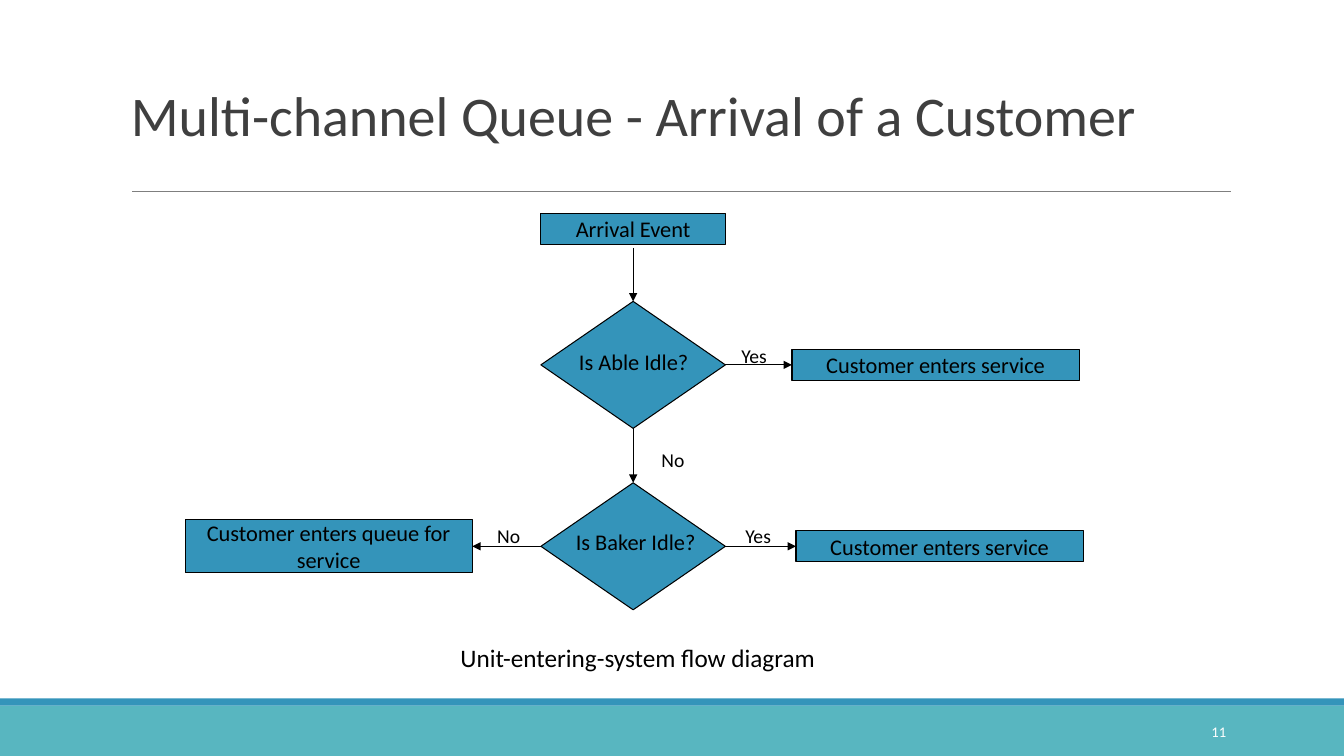
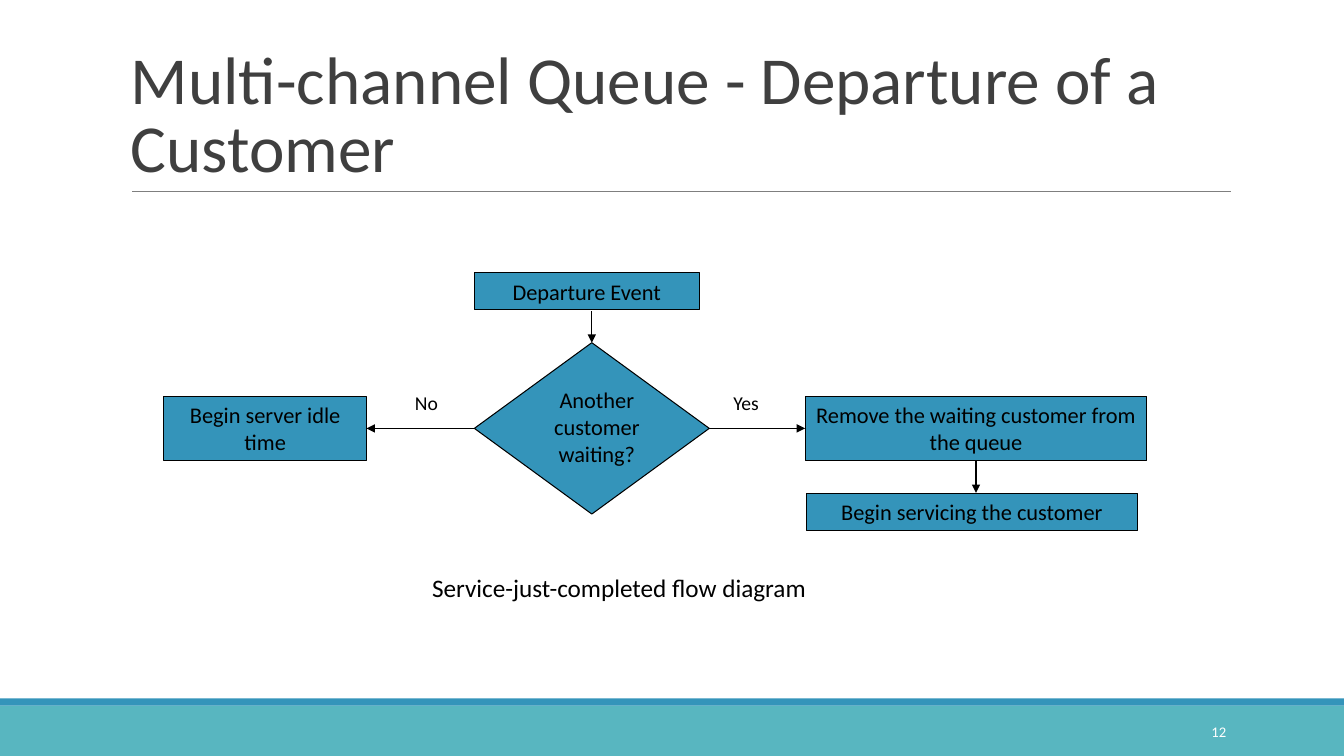
from lxml import etree
from pptx import Presentation
from pptx.dml.color import RGBColor
from pptx.enum.shapes import MSO_CONNECTOR, MSO_SHAPE
from pptx.enum.text import MSO_ANCHOR, PP_ALIGN
from pptx.oxml.ns import qn
from pptx.util import Inches, Pt

RECTANGLE = MSO_SHAPE.RECTANGLE
DECISION = MSO_SHAPE.FLOWCHART_DECISION
STRAIGHT = MSO_CONNECTOR.STRAIGHT
TOP_ANCHOR, MIDDLE, BOTTOM_ANCHOR = MSO_ANCHOR.TOP, MSO_ANCHOR.MIDDLE, MSO_ANCHOR.BOTTOM
ALIGN_LEFT, ALIGN_CENTER, ALIGN_RIGHT = PP_ALIGN.LEFT, PP_ALIGN.CENTER, PP_ALIGN.RIGHT

TOP, LEFT, BOTTOM, RIGHT = range(4)  # connection sites

FONT = "Calibri"
COLORS = {
    "band": "58B6C0",
    "accent": "3494BA",
    "rule": "7F7F7F",
    "title": "3F3F3F",
    "ink": "000000",
    "page": "FFFFFF",
}
SLIDE_W, SLIDE_H = 13.33, 7.5
LINE_WIDTH = Pt(0.75)


def color(name):
    return RGBColor.from_string(COLORS[name])


def write(shape, text, size, ink="ink", align=ALIGN_CENTER, anchor=MIDDLE):
    """Put one paragraph in a shape and return the paragraph."""
    frame = shape.text_frame
    frame.word_wrap = True
    frame.vertical_anchor = anchor
    paragraph = frame.paragraphs[0]
    paragraph.text = text
    paragraph.alignment = align
    paragraph.font.name = FONT
    paragraph.font.size = Pt(size)
    paragraph.font.color.rgb = color(ink)
    return paragraph


def add_text(slide, text, box, size, **style):
    """Add text in a (left, top, width, height) box."""
    return write(slide.shapes.add_textbox(*map(Inches, box)), text, size, **style)


def add_filled(slide, kind, box, fill, outline=None):
    shape = slide.shapes.add_shape(kind, *map(Inches, box))
    shape.shadow.inherit = False
    shape.fill.solid()
    shape.fill.fore_color.rgb = color(fill)
    if outline:
        shape.line.color.rgb = color(outline)
        shape.line.width = LINE_WIDTH
    else:
        shape.line.fill.background()
    return shape


def add_line(slide, start, end, ink):
    line = slide.shapes.add_connector(STRAIGHT, *map(Inches, (*start, *end)))
    line.line.color.rgb = color(ink)
    line.line.width = LINE_WIDTH
    etree.SubElement(line._element.spPr, qn("a:effectLst"))
    return line


def add_arrow(slide, start, end):
    """Draw an arrow; each end is a (shape, site) pair or an (x, y) point."""
    joined_start, joined_end = (hasattr(e[0], "shape_id") for e in (start, end))
    arrow = add_line(slide, (0, 0) if joined_start else start,
                     (0, 0) if joined_end else end, "ink")
    if joined_start:
        arrow.begin_connect(*start)
    if joined_end:
        arrow.end_connect(*end)
    etree.SubElement(arrow.line._get_or_add_ln(), qn("a:tailEnd"), type="triangle")


def centered(center, size):
    (x, y), (width, height) = center, size
    return x - width / 2, y - height / 2, width, height


def add_step(slide, text, center, size):
    step = add_filled(slide, RECTANGLE, centered(center, size), "accent", "ink")
    write(step, text, 16)
    return step


def add_decision(slide, question, center, size, question_box):
    diamond = add_filled(slide, DECISION, centered(center, size), "accent", "ink")
    add_text(slide, question, question_box, 16)
    return diamond


def add_answer(slide, text, box):
    add_text(slide, text, box, 14, anchor=TOP_ANCHOR)


def add_caption(slide, text, box):
    add_text(slide, text, box, 18, anchor=TOP_ANCHOR)


def add_base_slide(deck, title, title_size, title_height, number):
    """Add a slide with the shared bands, title, rule and page number."""
    slide = deck.slides.add_slide(deck.slide_layouts[6])
    add_filled(slide, RECTANGLE, (0, 7, SLIDE_W, 0.5), "band")
    add_filled(slide, RECTANGLE, (0, 6.93, SLIDE_W, 0.07), "accent")
    add_line(slide, (1.31, 1.9), (12.21, 1.9), "rule")
    heading = add_text(slide, title, (1.2, 0.31, 11, title_height), title_size,
                       ink="title", align=ALIGN_LEFT, anchor=BOTTOM_ANCHOR)
    heading.line_spacing = 0.85
    add_text(slide, str(number), (10.83, 7.06, 1.43, 0.4), 10.5,
             ink="page", align=ALIGN_RIGHT)
    return slide


def build_arrival(deck):
    slide = add_base_slide(deck, "Multi-channel Queue - Arrival of a Customer",
                           40, 1.21, 11)
    axis, able_row, baker_row = 6.28, 3.62, 5.42
    diamond_size, service_size = (1.83, 1.26), (2.85, 0.31)

    add_step(slide, "Arrival Event", (axis, 2.27), (1.83, 0.31))
    able = add_decision(slide, "Is Able Idle?", (axis, able_row), diamond_size,
                        (5.43, 3.43, 1.71, 0.31))
    baker = add_decision(slide, "Is Baker Idle?", (axis, baker_row), diamond_size,
                         (5.45, 5.22, 1.71, 0.31))
    able_service, baker_service = (
        add_step(slide, "Customer enters service", center, service_size)
        for center in ((9.28, able_row), (9.32, baker_row)))
    queue = add_step(slide, "Customer enters queue for service",
                     (3.26, baker_row), (2.85, 0.53))

    add_arrow(slide, (axis, 2.46), (able, TOP))
    add_arrow(slide, (able, RIGHT), (able_service, LEFT))
    add_arrow(slide, (able, BOTTOM), (baker, TOP))
    add_arrow(slide, (baker, RIGHT), (baker_service, LEFT))
    add_arrow(slide, (baker, LEFT), (queue, RIGHT))

    add_answer(slide, "Yes", (7.2, 3.36, 0.56, 0.28))
    add_answer(slide, "No", (6.39, 4.39, 0.57, 0.28))
    add_answer(slide, "Yes", (7.24, 5.15, 0.56, 0.28))
    add_answer(slide, "No", (4.76, 5.15, 0.57, 0.28))
    add_caption(slide, "Unit-entering-system flow diagram", (3.7, 6.32, 5.25, 0.33))


def build_departure(deck):
    slide = add_base_slide(deck, "Multi-channel Queue - Departure of a Customer",
                           48, 1.59, 12)
    axis, row, service_axis = 5.87, 4.25, 9.68

    add_step(slide, "Departure Event", (5.82, 2.89), (2.23, 0.37))
    waiting = add_decision(slide, "Another customer waiting?", (axis, row),
                           (2.33, 1.7), (5.22, 3.91, 1.4, 0.64))
    idle = add_step(slide, "Begin server idle time", (2.63, row), (2.01, 0.64))
    removal = add_step(slide, "Remove the waiting customer from the queue",
                       (service_axis, row), (3.39, 0.64))
    add_step(slide, "Begin servicing the customer", (9.64, 5.08), (3.29, 0.37))

    add_arrow(slide, (axis, 3.09), (waiting, TOP))
    add_arrow(slide, (waiting, LEFT), (idle, RIGHT))
    add_arrow(slide, (waiting, RIGHT), (removal, LEFT))
    add_arrow(slide, (removal, BOTTOM), (service_axis, 4.89))

    add_answer(slide, "Yes", (7.03, 3.83, 0.74, 0.34))
    add_answer(slide, "No", (3.86, 3.83, 0.74, 0.34))
    add_caption(slide, "Service-just-completed flow diagram", (2.8, 5.63, 6.68, 0.4))


def main():
    deck = Presentation()
    deck.slide_width, deck.slide_height = Inches(SLIDE_W), Inches(SLIDE_H)
    build_arrival(deck)
    build_departure(deck)
    deck.save("out.pptx")


if __name__ == "__main__":
    main()
